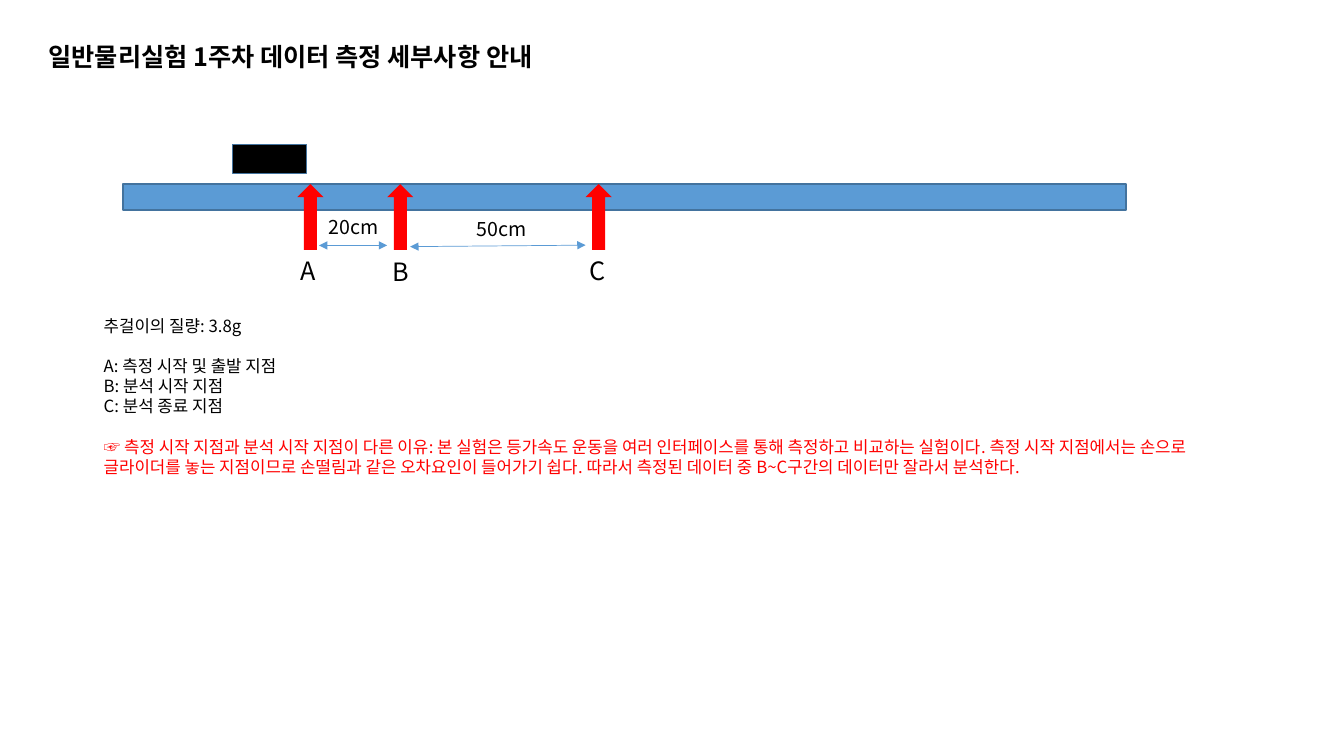
from lxml import etree
from pptx import Presentation
from pptx.dml.color import RGBColor
from pptx.enum.shapes import MSO_CONNECTOR as Connector, MSO_SHAPE as Shape
from pptx.enum.text import MSO_ANCHOR as Anchor, MSO_AUTO_SIZE as AutoSize, PP_ALIGN as Align
from pptx.oxml.ns import qn
from pptx.util import Pt

BLUE = RGBColor(0x5B, 0x9B, 0xD5)
OUTLINE = RGBColor(0x43, 0x73, 0x9E)
BLACK = RGBColor(0, 0, 0)
RED = RGBColor(0xFF, 0, 0)
FONT = "Noto Sans CJK KR"


def write_text(shape, lines, size, bold=False):
    frame = shape.text_frame
    frame.word_wrap = True
    frame.auto_size = AutoSize.NONE
    frame.vertical_anchor = Anchor.TOP
    for index, (text, color, space_before) in enumerate(lines):
        paragraph = frame.add_paragraph() if index else frame.paragraphs[0]
        paragraph.alignment = Align.LEFT
        paragraph.line_spacing = Pt(size * 1.2)
        paragraph.space_before = Pt(space_before)
        run = paragraph.add_run()
        run.text = text
        run.font.name = FONT
        run.font.size = Pt(size)
        run.font.bold = bold
        run.font.color.rgb = color
        east_asian = etree.Element(qn("a:ea"), typeface=FONT)
        run.font._element.find(qn("a:latin")).addnext(east_asian)


def add_figure(kind, left, top, width, height, fill, outlined=True):
    shape = slide.shapes.add_shape(kind, Pt(left), Pt(top), Pt(width), Pt(height))
    shape.shadow.inherit = False
    shape.fill.solid()
    shape.fill.fore_color.rgb = fill
    if outlined:
        shape.line.color.rgb = OUTLINE
        shape.line.width = Pt(1)
    else:
        shape.line.fill.background()


presentation = Presentation()
presentation.slide_width = Pt(960)
presentation.slide_height = Pt(540)
slide = presentation.slides.add_slide(presentation.slide_layouts[5])

title = slide.shapes.title
title.left, title.top, title.width, title.height = Pt(27.4), Pt(25.9), Pt(420.5), Pt(28.8)
write_text(title, [("일반물리실험 1주차 데이터 측정 세부사항 안내", BLACK, 0)], 18, bold=True)

add_figure(Shape.RECTANGLE, 87.8, 131.5, 716.4, 18.4, BLUE)
add_figure(Shape.RECTANGLE, 166.3, 103, 52.6, 20.9, BLACK)
for arrow_left in (212.4, 276.6, 418.3):
    add_figure(Shape.UP_ARROW, arrow_left, 131.5, 18.7, 47, RED, outlined=False)

labels = [
    ("A", 207.7, 178.6, 27.4, 28.8, 18),
    ("B", 273.6, 179.3, 27.4, 28.8, 18),
    ("C", 414, 178.6, 27.4, 28.8, 18),
    ("20cm", 227.5, 149.8, 65.5, 24.5, 14),
    ("50cm", 333.4, 151.2, 65.5, 24.5, 14),
]
for text, left, top, width, height, size in labels:
    label = slide.shapes.add_textbox(Pt(left), Pt(top), Pt(width), Pt(height))
    write_text(label, [(text, BLACK, 0)], size)

distances = [(227.9, 175.3, 276.5, 175.3), (293, 176.2, 418.3, 175.1)]
for ends in distances:
    distance = slide.shapes.add_connector(Connector.STRAIGHT, *map(Pt, ends))
    distance.line.color.rgb = BLUE
    distance.line.width = Pt(0.5)
    for tag in ("a:headEnd", "a:tailEnd"):
        etree.SubElement(distance.line._get_or_add_ln(), qn(tag), type="triangle")
    etree.SubElement(distance._element.spPr, qn("a:effectLst"))

notes = [
    ("추걸이의 질량: 3.8g", BLACK, 0),
    ("A: 측정 시작 및 출발 지점", BLACK, 14.4),
    ("B: 분석 시작 지점", BLACK, 0),
    ("C: 분석 종료 지점", BLACK, 0),
    ("☞ 측정 시작 지점과 분석 시작 지점이 다른 이유: 본 실험은 등가속도 운동을 여러 인터페이스를 "
     "통해 측정하고 비교하는 실험이다. 측정 시작 지점에서는 손으로 글라이더를 놓는 지점이므로 "
     "손떨림과 같은 오차요인이 들어가기 쉽다. 따라서 측정된 데이터 중 B~C구간의 데이터만 잘라서 "
     "분석한다.", RED, 14.4),
]
explanation = slide.shapes.add_textbox(Pt(67), Pt(221.8), Pt(787.7), Pt(138.2))
write_text(explanation, notes, 12)

presentation.save("out.pptx")
